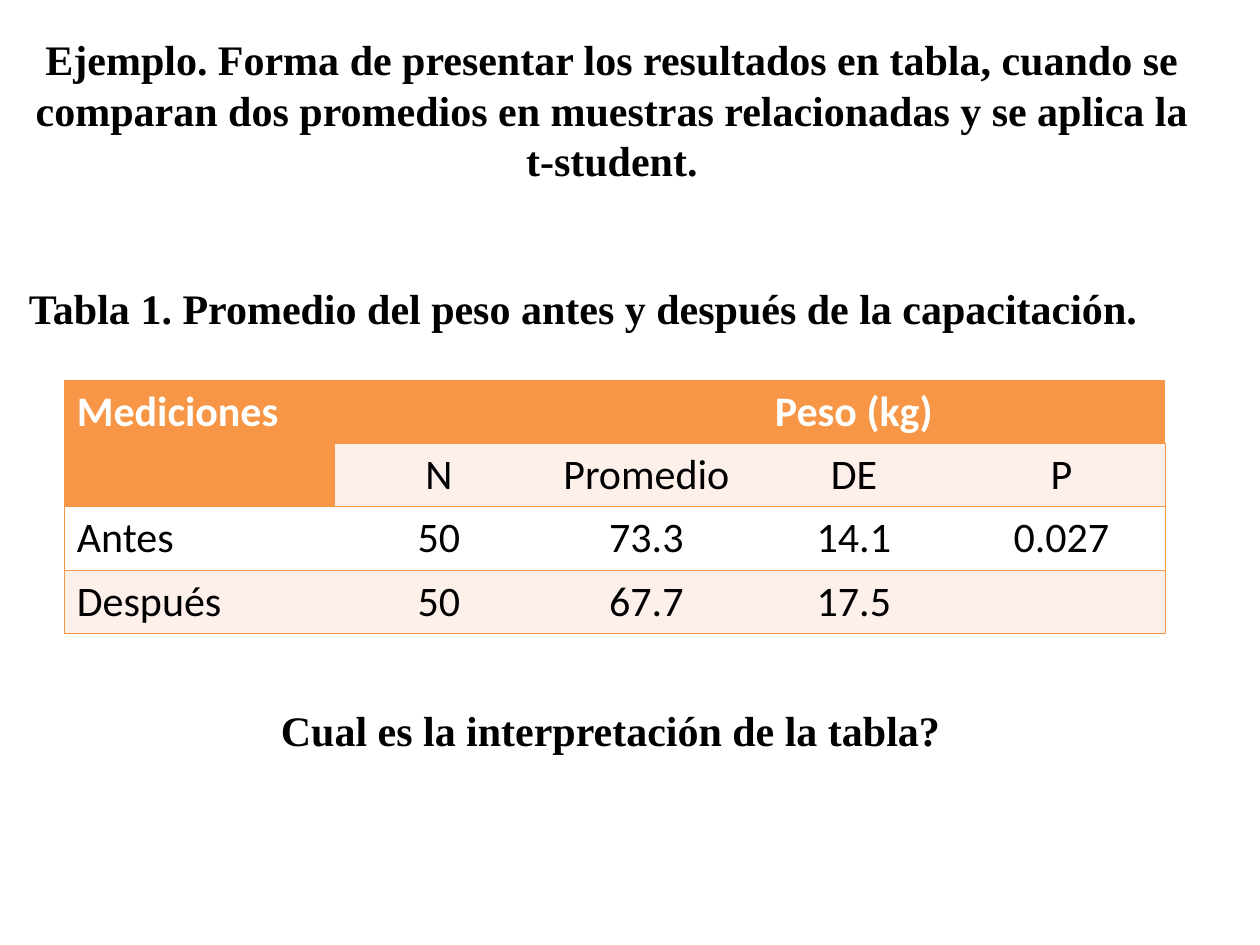
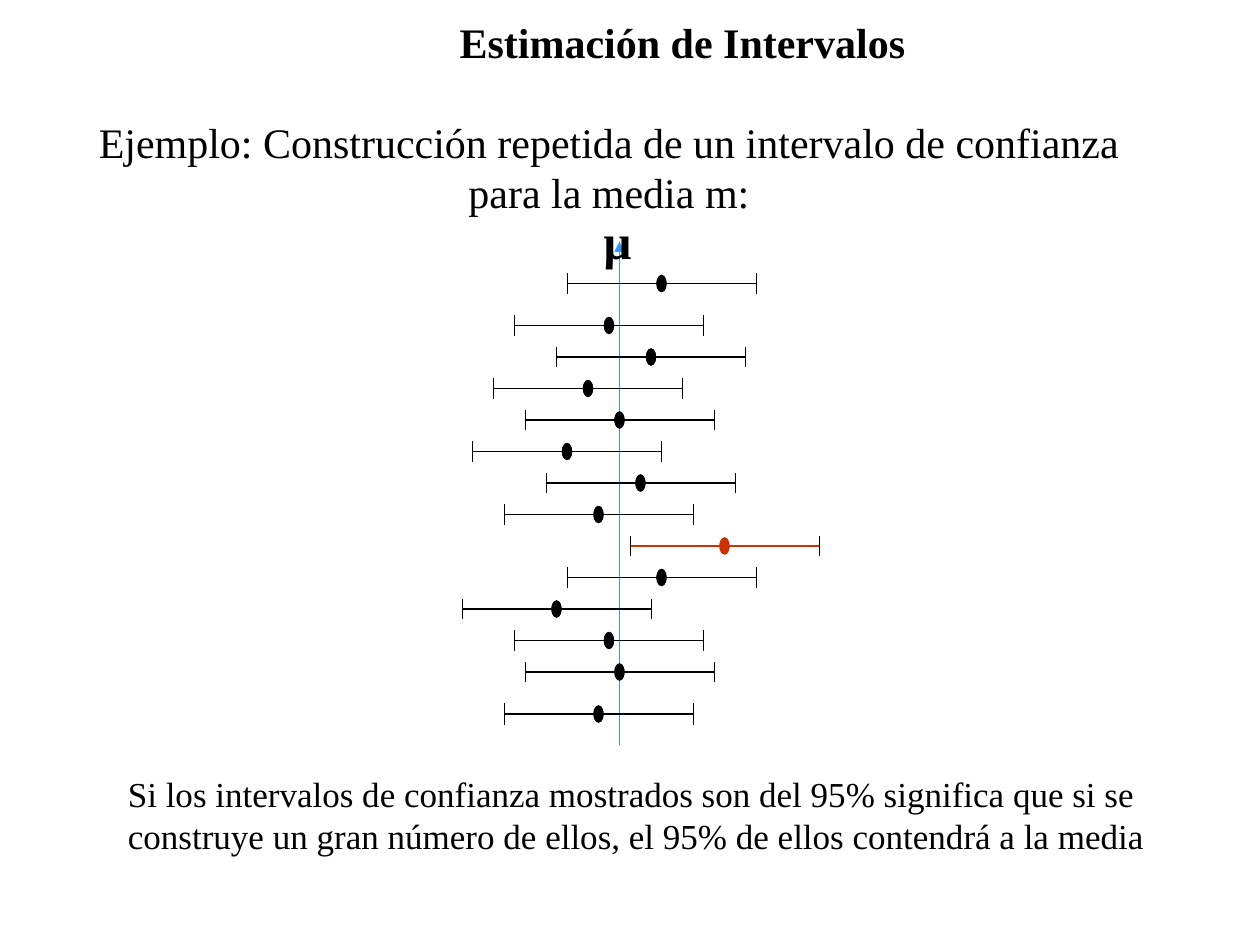
"""Builds two statistics slides: a comparison table and repeated confidence intervals."""
from dataclasses import dataclass

from lxml.etree import SubElement
from pptx import Presentation
from pptx.dml.color import RGBColor
from pptx.enum.shapes import MSO_CONNECTOR
from pptx.enum.text import MSO_ANCHOR, PP_ALIGN
from pptx.oxml.ns import qn
from pptx.util import Pt


@dataclass(frozen=True)
class Theme:
    """Colours, fonts and type sizes shared by the slides."""
    ink: str = "000000"
    paper: str = "FFFFFF"
    accent: str = "F79646"
    band: str = "FDEFE9"
    axis: str = "3399FF"
    outlier: str = "CC3300"
    serif: str = "Times New Roman"
    sans: str = "Calibri"
    heading_size: int = 24
    note_size: int = 20
    symbol_size: int = 28
    border_width: float = 0.45


THEME = Theme()

MEASUREMENTS = [
    ["Mediciones", "", "Peso (kg)", "", ""],
    ["", "N", "Promedio", "DE", "P"],
    ["Antes", "50", "73.3", "14.1", "0.027"],
    ["Después", "50", "67.7", "17.5", ""],
]
ROW_FILLS = [THEME.accent, THEME.band, THEME.paper, THEME.band]

MEAN_X = 354
HALF_WIDTH = 54
CAP_REACH = 6
INTERVAL_OFFSETS = [24, -6, 18, -18, 0, -30, 12, -12, 60, 24, -36, -6, 0, -12]
INTERVAL_HEIGHTS = [162, *range(186, 385, 18), 408]


def style_paragraph(paragraph, font_name, size, color, bold, align):
    """Set the alignment and font of a paragraph."""
    paragraph.alignment = align
    font = paragraph.font
    font.name, font.size, font.bold = font_name, Pt(size), bold
    font.color.rgb = RGBColor.from_string(color)


def add_text(slide, text, left, top, width, height, size=THEME.heading_size,
             bold=True, align=PP_ALIGN.LEFT, anchor=MSO_ANCHOR.TOP, wrap=True):
    """Add a one-paragraph text box in the serif face."""
    frame = slide.shapes.add_textbox(Pt(left), Pt(top), Pt(width), Pt(height)).text_frame
    frame.word_wrap = wrap
    frame.vertical_anchor = anchor
    frame.text = text
    style_paragraph(frame.paragraphs[0], THEME.serif, size, THEME.ink, bold, align)


def set_borders(cell, visible_sides):
    """Draw accent borders on the visible sides of a cell and clear the others."""
    properties = cell._tc.get_or_add_tcPr()
    for side in "LRTB":
        border = SubElement(properties, qn(f"a:ln{side}"), w=str(Pt(THEME.border_width)))
        if side in visible_sides:
            fill = SubElement(border, qn("a:solidFill"))
            SubElement(fill, qn("a:srgbClr"), val=THEME.accent)
        else:
            SubElement(border, qn("a:noFill"))


def add_measurement_table(slide, left, top, label_width, value_width, row_height):
    """Add the table of measurements with its merged headings."""
    rows, columns = len(MEASUREMENTS), len(MEASUREMENTS[0])
    width = label_width + value_width * (columns - 1)
    table = slide.shapes.add_table(rows, columns, Pt(left), Pt(top), Pt(width),
                                   Pt(row_height * rows)).table
    table.first_row = table.horz_banding = False
    for column_index, column in enumerate(table.columns):
        column.width = Pt(value_width if column_index else label_width)
    for row_index, values in enumerate(MEASUREMENTS):
        for column_index, value in enumerate(values):
            cell = table.cell(row_index, column_index)
            is_label = column_index == 0
            is_heading = row_index == 0 or (is_label and row_index == 1)
            sides = "TB" + ("L" if is_label else "")
            set_borders(cell, sides + ("R" if column_index == columns - 1 else ""))
            cell.fill.solid()
            cell.fill.fore_color.rgb = RGBColor.from_string(
                THEME.accent if is_heading else ROW_FILLS[row_index])
            cell.text = value
            style_paragraph(cell.text_frame.paragraphs[0], THEME.sans, THEME.heading_size,
                            THEME.paper if is_heading else THEME.ink, is_heading,
                            PP_ALIGN.LEFT if is_label else PP_ALIGN.CENTER)
    table.cell(0, 0).merge(table.cell(1, 0))
    table.cell(0, 2).merge(table.cell(0, columns - 1))


def add_line(slide, start, end, color, width, tip=None, tip_width="med"):
    """Add a straight connector, optionally with a tip at its end."""
    line = slide.shapes.add_connector(MSO_CONNECTOR.STRAIGHT, *map(Pt, (*start, *end)))
    line.line.color.rgb = RGBColor.from_string(color)
    line.line.width = Pt(width)
    if tip:
        SubElement(line.line._get_or_add_ln(), qn("a:tailEnd"),
                   type=tip, w=tip_width, len="med")
    SubElement(line._element.spPr, qn("a:effectLst"))


def add_interval(slide, center, height):
    """Add a confidence interval with its point estimate and end caps."""
    misses_mean = abs(center - MEAN_X) > HALF_WIDTH
    color = THEME.outlier if misses_mean else THEME.ink
    limits = (center - HALF_WIDTH, center + HALF_WIDTH)
    for limit in limits:
        add_line(slide, (limit, height), (center, height), color, 0.75, "oval", "lg")
    for limit in limits:
        add_line(slide, (limit, height + CAP_REACH), (limit, height - CAP_REACH),
                 THEME.ink, 0.25)


def build_table_slide(slide):
    """Fill the slide that presents two related means in a table."""
    add_text(slide, "Tabla 1. Promedio del peso antes y después de la capacitación.",
             9.4, 157.7, 680.4, 36)
    add_measurement_table(slide, 36.7, 217.2, 154.8, 118.6, 36.2)
    add_text(slide, "Ejemplo. Forma de presentar los resultados en tabla, cuando se comparan "
             "dos promedios en muestras relacionadas y se aplica la t-student.",
             9.4, 15.8, 680.4, 93.6, align=PP_ALIGN.CENTER)
    add_text(slide, "Cual es la interpretación de la tabla?", 153.4, 398.9, 391.7, 36,
             wrap=False)


def build_interval_slide(slide):
    """Fill the slide that shows repeated confidence intervals around the mean."""
    add_text(slide, "Estimación de Intervalos", 84, 12, 612, 24,
             align=PP_ALIGN.CENTER, anchor=MSO_ANCHOR.MIDDLE)
    add_text(slide, "Ejemplo: Construcción repetida de un intervalo de confianza "
             "para la media m:", 30, 63, 636, 72, bold=False, align=PP_ALIGN.CENTER)
    add_text(slide, "Si los intervalos de confianza mostrados son del 95% significa que si se "
             "construye un gran número de ellos, el 95% de ellos contendrá a la media",
             66, 438, 642, 66, size=THEME.note_size, bold=False)
    add_line(slide, (MEAN_X, 426), (MEAN_X, 138), THEME.axis, 1, "triangle")
    for offset, height in zip(INTERVAL_OFFSETS, INTERVAL_HEIGHTS):
        add_interval(slide, MEAN_X + offset, height)
    add_text(slide, "µ", 337.7, 116.6, 36, 41, size=THEME.symbol_size)


def main():
    """Build both slides and save the presentation."""
    presentation = Presentation()
    presentation.slide_width, presentation.slide_height = Pt(720), Pt(540)
    blank = presentation.slide_layouts[6]
    for build in (build_table_slide, build_interval_slide):
        build(presentation.slides.add_slide(blank))
    presentation.save("out.pptx")


if __name__ == "__main__":
    main()
